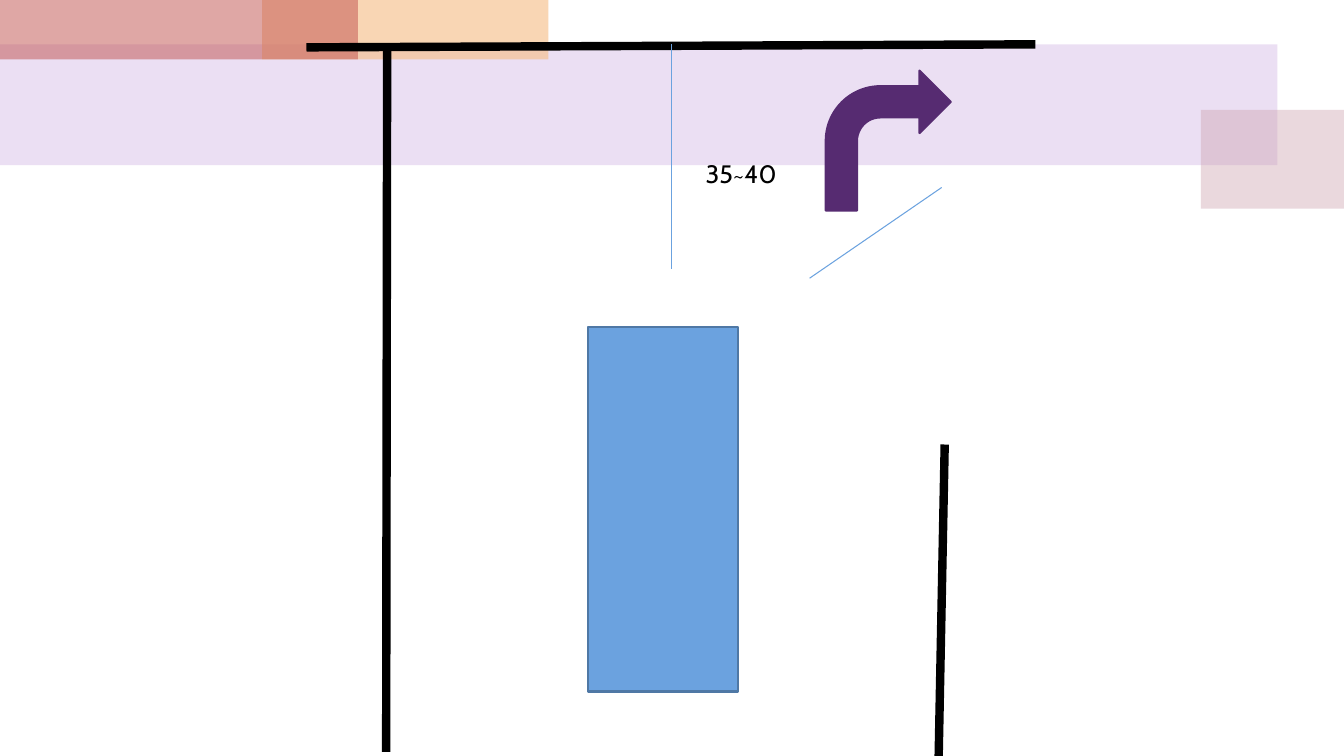
from pptx import Presentation
from pptx.dml.color import RGBColor
from pptx.enum import shapes, text
from pptx.oxml.ns import qn
from pptx.util import Inches, Pt
from lxml import etree

LILAC = RGBColor(0xBF, 0x98, 0xD8)
ROSE = RGBColor(0xCC, 0x9E, 0xAC)
PEACH = RGBColor(0xF5, 0xBC, 0x83)
RED = RGBColor(0xC0, 0x50, 0x4D)
BLUE = RGBColor(0x6B, 0xA2, 0xDF)
DARK_BLUE = RGBColor(0x4F, 0x78, 0xA5)
PURPLE = RGBColor(0x56, 0x2B, 0x71)
BLACK = RGBColor(0, 0, 0)

RECTANGLE = shapes.MSO_SHAPE.RECTANGLE
BENT_ARROW = shapes.MSO_SHAPE.BENT_ARROW


def add_block(slide, box, fill, kind=RECTANGLE, outline=None, opacity=100):
    block = slide.shapes.add_shape(kind, *map(Inches, box))
    block.shadow.inherit = False
    block.fill.solid()
    block.fill.fore_color.rgb = fill
    if opacity < 100:
        color = block.fill._xPr.find(qn("a:solidFill"))[0]
        etree.SubElement(color, qn("a:alpha"), val=str(opacity * 1000))
    if outline is None:
        block.line.fill.background()
    else:
        block.line.color.rgb = outline
        block.line.width = Pt(1.5)


def add_line(slide, start, end, color, width):
    line = slide.shapes.add_connector(
        shapes.MSO_CONNECTOR.STRAIGHT, *map(Inches, start + end))
    line.line.color.rgb = color
    line.line.width = Pt(width)
    etree.SubElement(line._element.spPr, qn("a:effectLst"))


def add_text(slide, box, content, size=18, color=BLACK, font="Cabin"):
    frame = slide.shapes.add_textbox(*map(Inches, box)).text_frame
    frame.word_wrap = True
    frame.auto_size = text.MSO_AUTO_SIZE.SHAPE_TO_FIT_TEXT
    run = frame.paragraphs[0].add_run()
    run.text = content
    run.font.name = font
    run.font.size = Pt(size)
    run.font.color.rgb = color


def main():
    deck = Presentation()
    deck.slide_width, deck.slide_height = Inches(13.33), Inches(7.5)
    slide = deck.slides.add_slide(deck.slide_layouts[6])

    # Translucent header bands
    for box, color, opacity in (
        ((0, 0.44, 12.67, 1.2), LILAC, 30),
        ((11.91, 1.09, 1.43, 0.98), ROSE, 40),
        ((2.6, 0, 2.84, 0.59), PEACH, 60),
        ((0, 0, 3.55, 0.59), RED, 50),
    ):
        add_block(slide, box, color, opacity=opacity)

    # Vehicle between the walls
    add_block(slide, (5.83, 3.24, 1.49, 3.62), BLUE, outline=DARK_BLUE)

    # Walls: front, right, left
    for start, end in (
        ((3.04, 0.47), (10.27, 0.44)),
        ((9.37, 4.41), (9.31, 7.5)),
        ((3.84, 0.47), (3.83, 7.46)),
    ):
        add_line(slide, start, end, BLACK, 6)

    # Sensing lines: ahead and diagonal, with the distance
    add_line(slide, (6.66, 0.44), (6.66, 2.67), BLUE, 0.75)
    add_line(slide, (8.03, 2.76), (9.34, 1.86), BLUE, 0.75)
    add_text(slide, (6.9, 1.52, 0.94, 0.4), "35~40")

    # Right turn
    add_block(slide, (8.19, 0.7, 1.24, 1.39), PURPLE, BENT_ARROW, PURPLE)

    deck.save("out.pptx")


if __name__ == "__main__":
    main()
